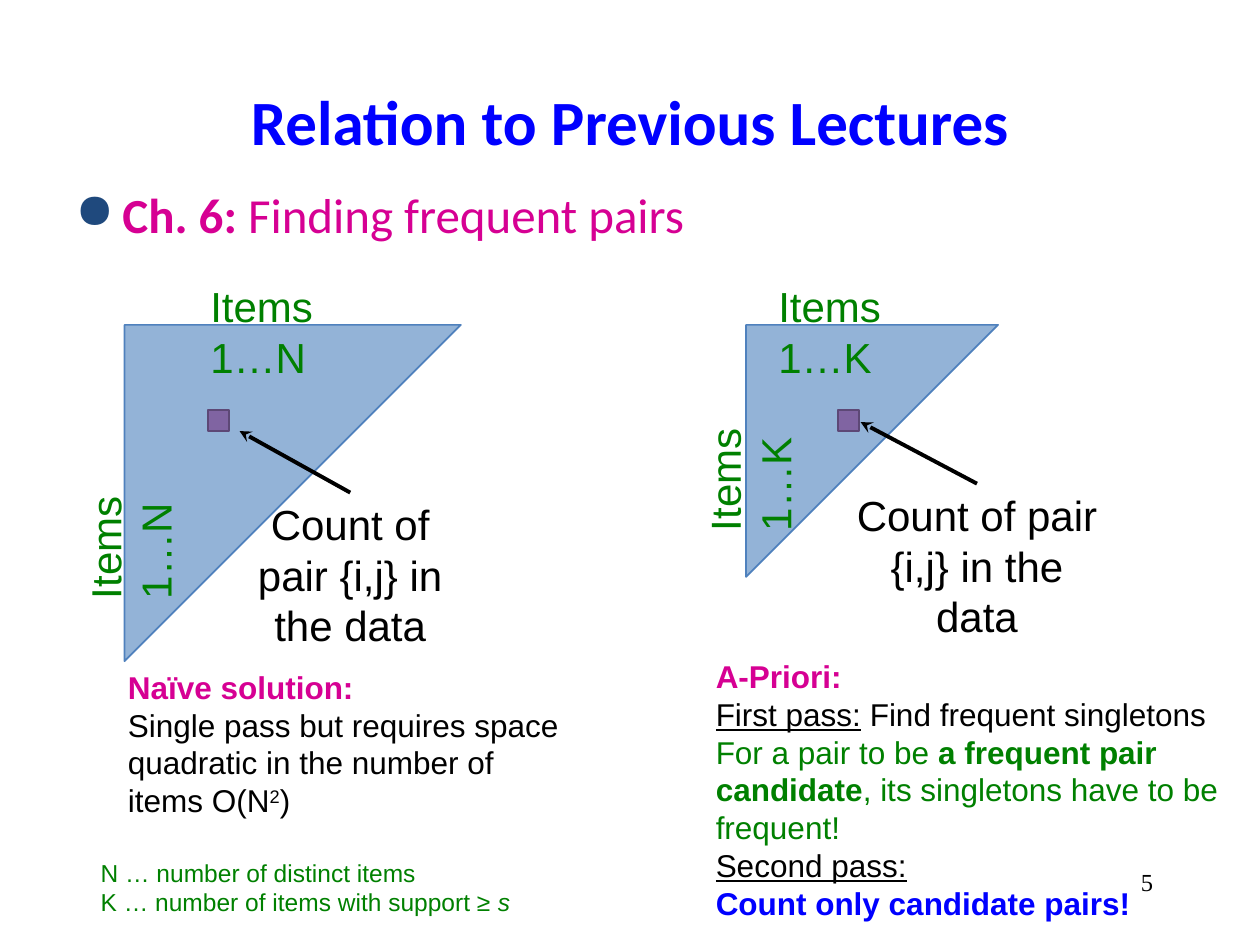
"""Build the slide that relates frequent pairs to previous lectures."""
from lxml import etree
from pptx import Presentation
from pptx.dml.color import RGBColor
from pptx.enum.shapes import MSO_CONNECTOR, MSO_SHAPE
from pptx.enum.text import MSO_ANCHOR, MSO_AUTO_SIZE, PP_ALIGN
from pptx.oxml.ns import qn
from pptx.util import Cm, Pt

TRIANGLE, SQUARE = MSO_SHAPE.RIGHT_TRIANGLE, MSO_SHAPE.RECTANGLE
STRAIGHT = MSO_CONNECTOR.STRAIGHT
LEFT, CENTER, RIGHT = PP_ALIGN.LEFT, PP_ALIGN.CENTER, PP_ALIGN.RIGHT
TOP, MIDDLE = MSO_ANCHOR.TOP, MSO_ANCHOR.MIDDLE
GROW, FIXED = MSO_AUTO_SIZE.SHAPE_TO_FIT_TEXT, MSO_AUTO_SIZE.NONE

BLACK, BLUE, GREEN, PINK = "000000", "0000FF", "008000", "D60093"
BOLD, ITALIC, UNDERLINE = {"bold": True}, {"italic": True}, {"underline": True}
MATRIX_TOP, CELL_TOP, CELL_SIZE = 6.55, 8.26, 0.43
LABEL_WIDTH, LABEL_HEIGHT, LABEL_TOP = 3.71, 1.02, 5.54


def color(value):
    """Turn a hex string into a colour."""
    return RGBColor.from_string(value)


def set_all(target, values):
    """Set every attribute named in a dict."""
    for name, value in values.items():
        setattr(target, name, value)


def add_run(paragraph, font, text, hex_color, values=None, baseline=None):
    """Add one formatted run, ending in a line break if its text does."""
    run = paragraph.add_run()
    run.text = text.rstrip("\n")
    set_all(run.font, {**font, **(values or {})})
    run.font.color.rgb = color(hex_color)
    if baseline:
        run.font._element.set("baseline", str(baseline))
    if text.endswith("\n"):
        paragraph.add_line_break()


def add_text(slide, box, paragraphs, size, name="Arial", align=LEFT,
             anchor=TOP, auto_size=GROW, rotation=0):
    """Add a wrapped text box of paragraphs, each a list of runs."""
    shape = slide.shapes.add_textbox(*map(Cm, box))
    shape.rotation = rotation
    frame = shape.text_frame
    set_all(frame, {"word_wrap": True, "auto_size": auto_size,
                    "vertical_anchor": anchor})
    font = {"name": name, "size": Pt(size)}
    for index, runs in enumerate(paragraphs):
        paragraph = frame.add_paragraph() if index else frame.paragraphs[0]
        paragraph.alignment = align
        for run in runs:
            add_run(paragraph, font, *run)
    return shape


def add_bullet(paragraph, character, hex_color, indent):
    """Give a paragraph a coloured bullet with a hanging indent."""
    properties = paragraph._p.get_or_add_pPr()
    properties.set("marL", str(Cm(indent)))
    properties.set("indent", str(-Cm(indent)))
    bullet_color = etree.SubElement(properties, qn("a:buClr"))
    etree.SubElement(bullet_color, qn("a:srgbClr"), val=hex_color)
    etree.SubElement(properties, qn("a:buChar"), char=character)


def add_block(slide, kind, box, fill, line, rotation=0):
    """Add a filled and outlined preset shape."""
    shape = slide.shapes.add_shape(kind, *map(Cm, box))
    shape.shadow.inherit = False
    shape.rotation = rotation
    shape.fill.solid()
    shape.fill.fore_color.rgb = color(fill)
    shape.line.color.rgb = color(line)
    shape.line.width = Pt(1)


def add_arrow(slide, start, end):
    """Add a black line with a stealth head at its end."""
    arrow = slide.shapes.add_connector(STRAIGHT, *map(Cm, start + end))
    arrow.line.color.rgb = color(BLACK)
    arrow.line.width = Pt(2.25)
    etree.SubElement(arrow.line._get_or_add_ln(), qn("a:tailEnd"), type="stealth")
    etree.SubElement(arrow._element.spPr, qn("a:effectLst"))


def add_matrix(slide, letter, left, size, label_left, side_label, cell_left,
               count_box, arrow_end):
    """Add a triangular pair matrix with labels and a pointed-out cell."""
    label = [[(f"Items 1…{letter}", GREEN)]]
    label_size = (LABEL_WIDTH, LABEL_HEIGHT)
    count_left, count_top, count_width = count_box
    add_block(slide, TRIANGLE, (left, MATRIX_TOP, size, size),
              "93B3D7", "4F81BD", rotation=90)
    add_text(slide, side_label + label_size, label, 24, rotation=270)
    add_text(slide, (label_left, LABEL_TOP) + label_size, label, 24)
    add_block(slide, SQUARE, (cell_left, CELL_TOP, CELL_SIZE, CELL_SIZE),
              "8064A2", "5D4876")
    add_text(slide, (count_left, count_top, count_width, 1.8),
             [[("Count of pair {i,j} in the data", BLACK)]], 24, align=CENTER)
    add_arrow(slide, (count_left + count_width / 2, count_top),
              (arrow_end, count_top - 1.24))


def add_headings(slide):
    """Add the title, the chapter line and the slide number."""
    add_text(slide, (1.9, 0.84, 21.6, 3.18),
             [[("Relation to Previous Lectures", BLUE, BOLD)]], 36, "Calibri",
             CENTER, MIDDLE, FIXED)
    chapter = add_text(slide, (1.27, 3.6, 22.86, 5.08),
                       [[("Ch. 6:", PINK, BOLD), (" Finding frequent pairs", PINK)]],
                       28, "Calibri", auto_size=FIXED)
    add_bullet(chapter.text_frame.paragraphs[0], "●", "1F497D", 0.95)
    add_text(slide, (18.2, 17.35, 5.3, 1.27), [[("5", BLACK)]], 14,
             "Times New Roman", RIGHT, auto_size=FIXED)


def add_explanations(slide):
    """Add the notes on both solutions and the legend."""
    add_text(slide, (2.33, 13.34, 9.31, 3.33), [[
        ("Naïve solution: \n", PINK, BOLD),
        ("Single pass but requires space quadratic in the number of items O(N",
         BLACK),
        ("2", BLACK, None, 30000),
        (")", BLACK)]], 18)
    add_text(slide, (14.18, 13.12, 11, 5.64), [
        [("A-Priori:\n", PINK, BOLD),
         ("First pass:", BLACK, UNDERLINE),
         (" Find frequent singletons", BLACK)],
        [("For a pair to be ", GREEN),
         ("a frequent pair candidate", GREEN, BOLD),
         (", its singletons have to be frequent!\n", GREEN),
         ("Second pass:", BLACK, UNDERLINE),
         (" \n", BLACK),
         ("Count only candidate pairs!", BLUE, BOLD)]], 18)
    add_text(slide, (1.78, 17.17, 8.79, 1.45), [
        [("N … number of distinct items", GREEN)],
        [("K … number of items with support ≥ ", GREEN),
         ("s", GREEN, ITALIC)]], 14)


def main():
    """Build and save the presentation."""
    presentation = Presentation()
    set_all(presentation, {"slide_width": Cm(25.4), "slide_height": Cm(19.05)})
    slide = presentation.slides.add_slide(presentation.slide_layouts[6])
    add_headings(slide)
    add_matrix(slide, "N", left=2.51, size=6.78, label_left=3.99,
               side_label=(0.13, 9.96), cell_left=4.19,
               count_box=(4.42, 9.93, 5.28), arrow_end=4.83)
    add_matrix(slide, "K", left=15.04, size=5.08, label_left=15.44,
               side_label=(12.62, 8.59), cell_left=16.89,
               count_box=(16.94, 9.75, 5.51), arrow_end=17.35)
    add_explanations(slide)
    presentation.save("out.pptx")


if __name__ == "__main__":
    main()
